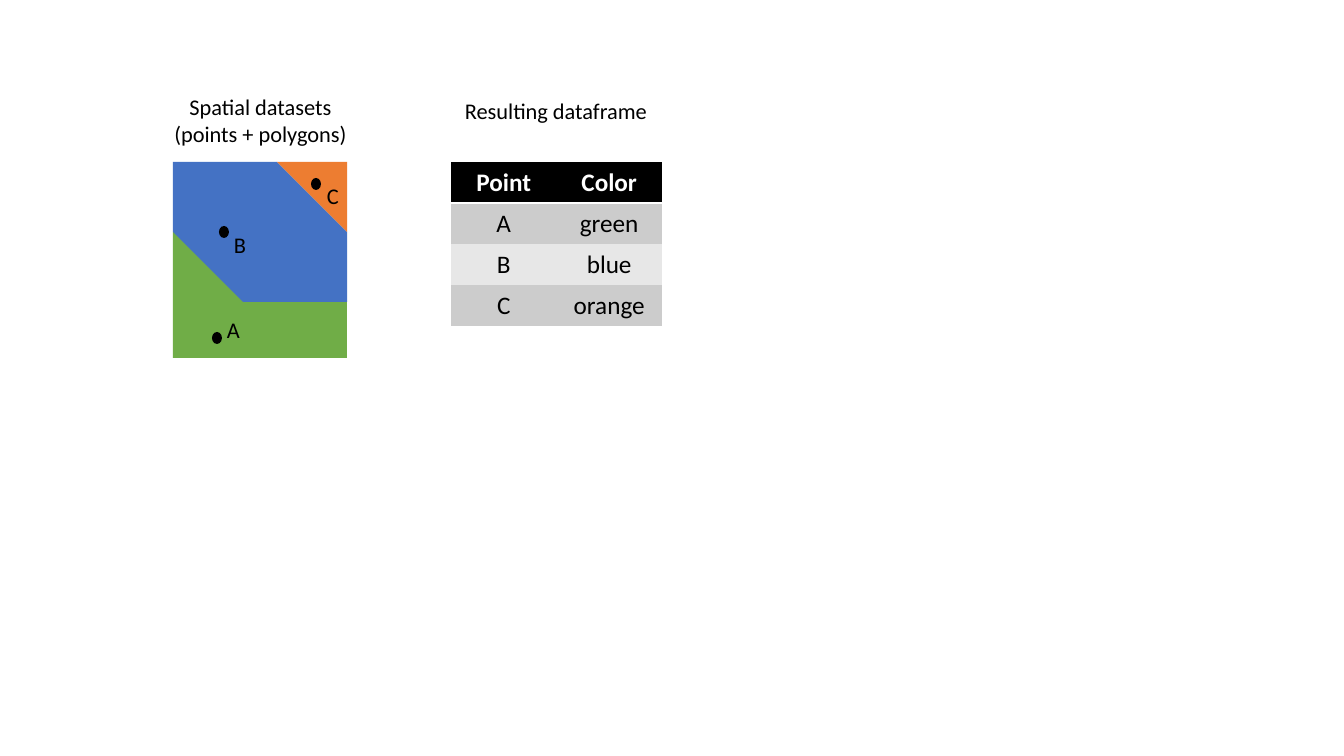
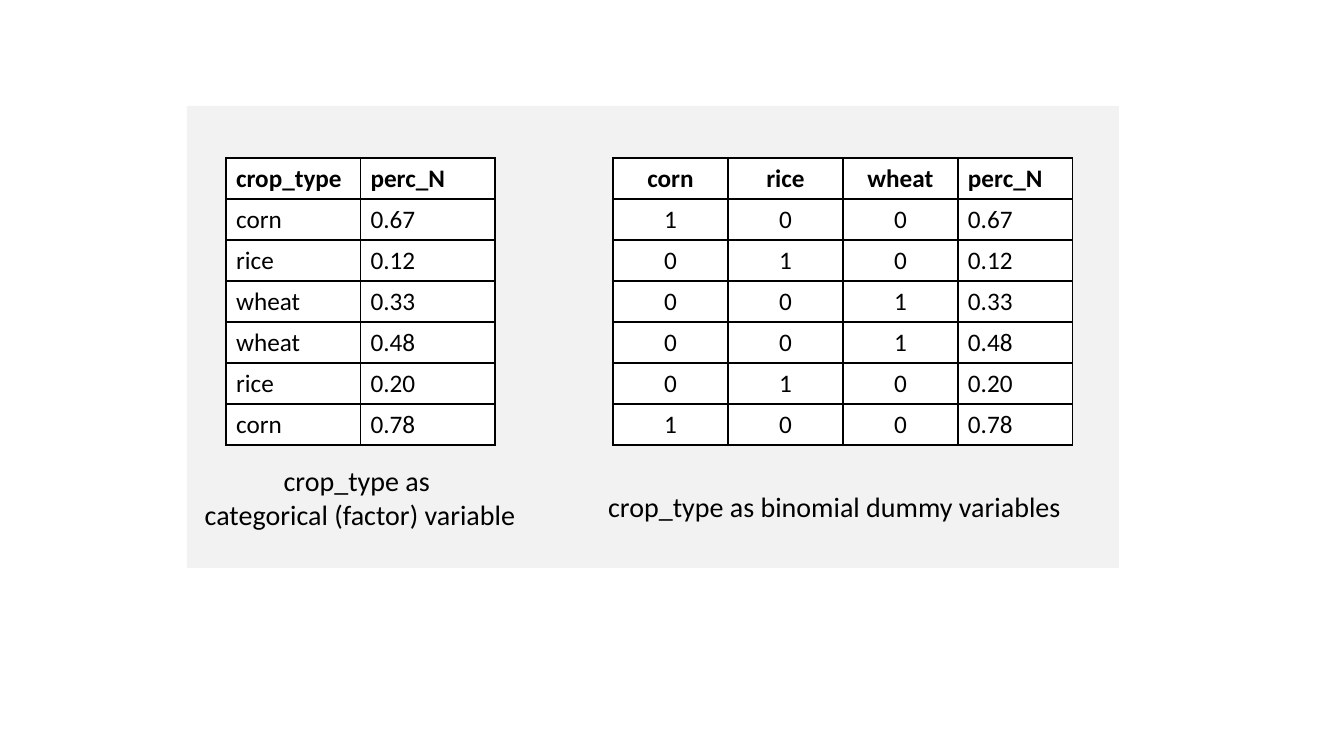
import pptx
import pptx.dml.color
import pptx.enum.shapes
import pptx.enum.text
import pptx.oxml
import pptx.oxml.ns
import pptx.util

PX = 914400 / 100.8
FONT = "Calibri"
PLAIN = "{2D5ABB26-0587-4C30-8999-92F81FD0307C}"
INK = {
    "black": "000000", "white": "FFFFFF", "panel": "F2F2F2",
    "green": "70AD47", "blue": "4472C4", "orange": "ED7D31",
    "dark": "CCCCCC", "light": "E7E7E7",
}
KIND = pptx.enum.shapes.MSO_SHAPE
ALIGN = pptx.enum.text.PP_ALIGN
RGB = pptx.dml.color.RGBColor.from_string


def write(frame, text, size=16, color="black", bold=False, align=ALIGN.LEFT):
    """Fill a text frame, one paragraph per line of text."""
    frame.text = text
    for para in frame.paragraphs:
        para.alignment = align
        font = para.font
        font.name, font.size, font.bold = FONT, pptx.util.Pt(size), bold
        font.color.rgb = RGB(INK[color])


def grid(slide, rows, box, fills, mid, head="black", edge="black",
         sides="LRTB", width=1, top_only=False):
    """Add a table with equal cells; the first mid columns are centred."""
    frame = slide.shapes.add_table(len(rows), len(rows[0]), *[round(n * PX) for n in box])
    next(frame.element.iter(pptx.oxml.ns.qn("a:tableStyleId"))).text = PLAIN
    for r, row in enumerate(rows):
        for c, text in enumerate(row):
            cell = frame.table.cell(r, c)
            write(cell.text_frame, text, size=18, bold=r == 0,
                  color=head if r == 0 else "black",
                  align=ALIGN.CENTER if c < mid else ALIGN.LEFT)
            cell.fill.solid()
            cell.fill.fore_color.rgb = RGB(INK[fills[r]])
            if top_only and r:
                continue
            props = cell._tc.get_or_add_tcPr()
            for spot, side in enumerate(sides):
                line = pptx.oxml.parse_xml(
                    f'<a:ln{side} {pptx.oxml.ns.nsdecls("a")} w="{pptx.util.Pt(width)}">'
                    f'<a:solidFill><a:srgbClr val="{INK[edge]}"/></a:solidFill></a:ln{side}>')
                props.insert(spot, line)


deck = pptx.Presentation()
deck.slide_width, deck.slide_height = round(1344 * PX), round(756 * PX)
points, crops = [deck.slides.add_slide(deck.slide_layouts[6]) for _ in range(2)]

# Map areas, point dots and the grey panel
shapes = [
    (points, KIND.RECTANGLE, "green", (173, 232, 174, 126)),
    (points, KIND.SNIP_2_DIAG_RECTANGLE, "blue", (173, 162, 174, 140)),
    (points, KIND.RIGHT_TRIANGLE, "orange", (277, 162, 70, 70)),
    (crops, KIND.RECTANGLE, "panel", (187, 106, 932, 462)),
]
for left, top in [(212, 332), (219, 226), (311, 178)]:
    shapes.append((points, KIND.OVAL, "black", (left, top, 10, 12)))
for slide, kind, color, box in shapes:
    shape = slide.shapes.add_shape(kind, *[round(n * PX) for n in box])
    shape.shadow.inherit = False
    shape.fill.solid()
    shape.fill.fore_color.rgb = RGB(INK[color])
    shape.line.fill.background()
    if kind == KIND.SNIP_2_DIAG_RECTANGLE:
        shape.adjustments[0], shape.adjustments[1] = 0, 0.5
    if kind == KIND.RIGHT_TRIANGLE:
        shape.rotation = 180

# Point names and captions
labels = [
    (points, "A", (217, 311, 33, 37), 16, ALIGN.LEFT),
    (points, "B", (224, 226, 32, 37), 16, ALIGN.LEFT),
    (points, "C", (317, 177, 32, 37), 16, ALIGN.LEFT),
    (points, "Spatial datasets\n(points + polygons)", (163, 88, 195, 64), 16, ALIGN.CENTER),
    (points, "Resulting dataframe", (454, 92, 204, 37), 16, ALIGN.CENTER),
    (crops, "crop_type as \ncategorical (factor) variable", (193, 459, 334, 78), 20, ALIGN.CENTER),
    (crops, "crop_type as binomial dummy variables", (596, 485, 477, 44), 20, ALIGN.CENTER),
]
for slide, text, box, size, align in labels:
    frame = slide.shapes.add_textbox(*[round(n * PX) for n in box]).text_frame
    frame.word_wrap = False
    frame.auto_size = pptx.enum.text.MSO_AUTO_SIZE.SHAPE_TO_FIT_TEXT
    write(frame, text, size=size, align=align)

# Result of the spatial join
grid(points, [("Point", "Color"), ("A", "green"), ("B", "blue"), ("C", "orange")],
     (451, 162, 211, 164), ["black", "dark", "light", "dark"], mid=2,
     head="white", edge="white", sides="B", width=2, top_only=True)

# One factor column, then one dummy column per crop
data = [("corn", "0.67"), ("rice", "0.12"), ("wheat", "0.33"),
        ("wheat", "0.48"), ("rice", "0.20"), ("corn", "0.78")]
names = ["corn", "rice", "wheat"]
dummy = [[str(int(crop == name)) for name in names] + [perc] for crop, perc in data]
fills = ["white"] * 7
grid(crops, [("crop_type", "perc_N")] + data, (226, 158, 269, 287), fills, mid=0)
grid(crops, [names + ["perc_N"]] + dummy, (613, 158, 460, 287), fills, mid=3)

deck.save("out.pptx")
